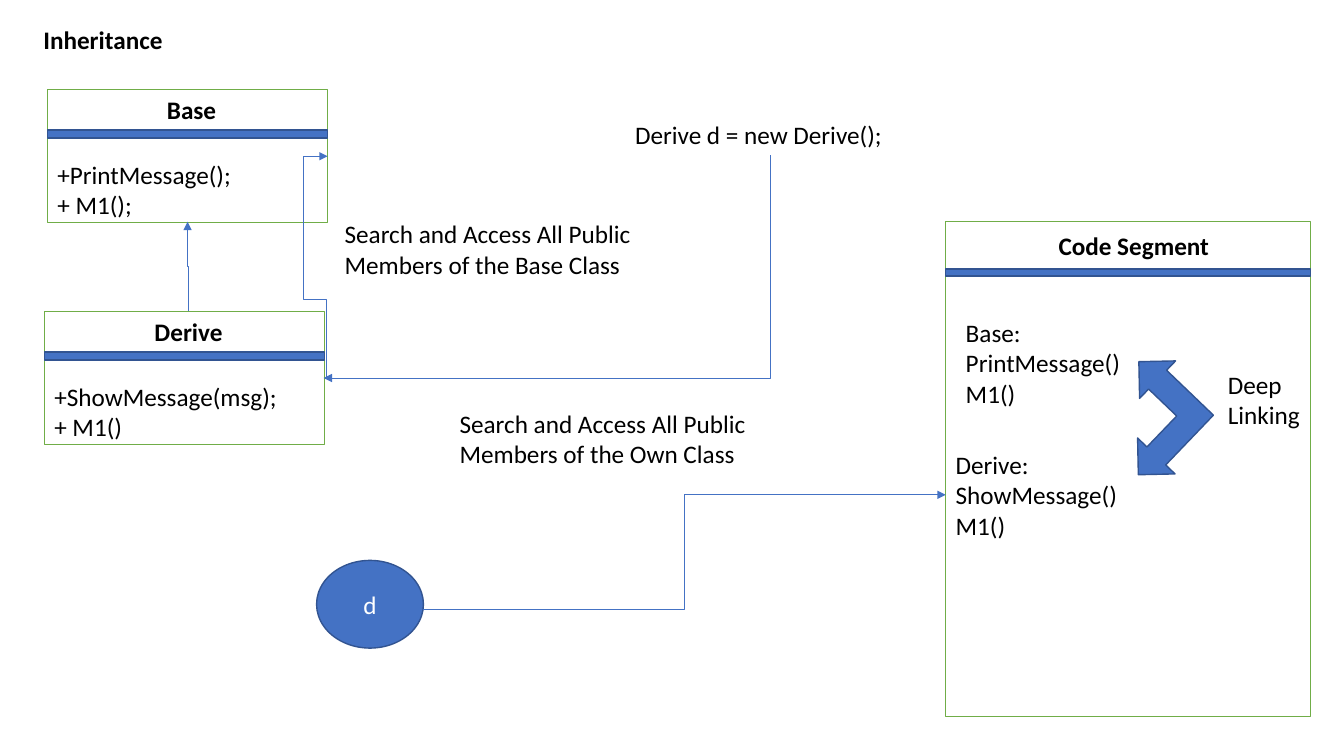
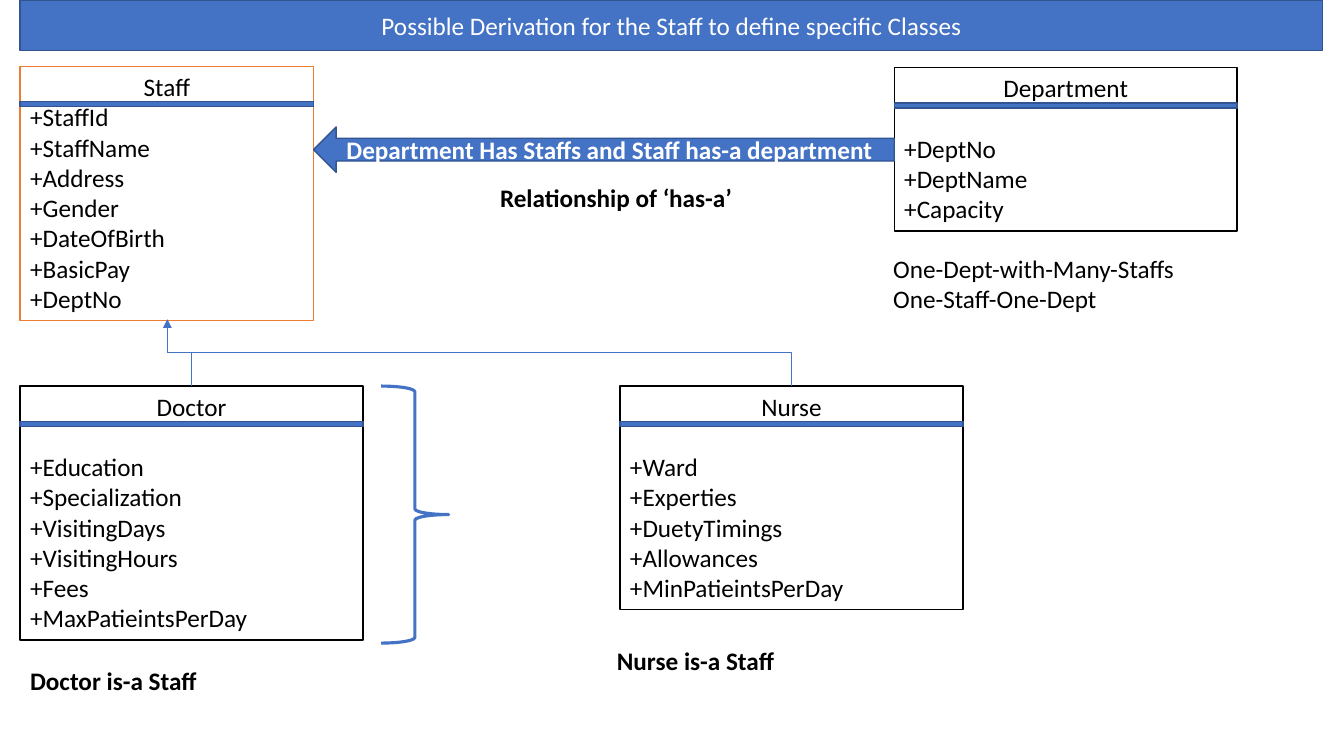
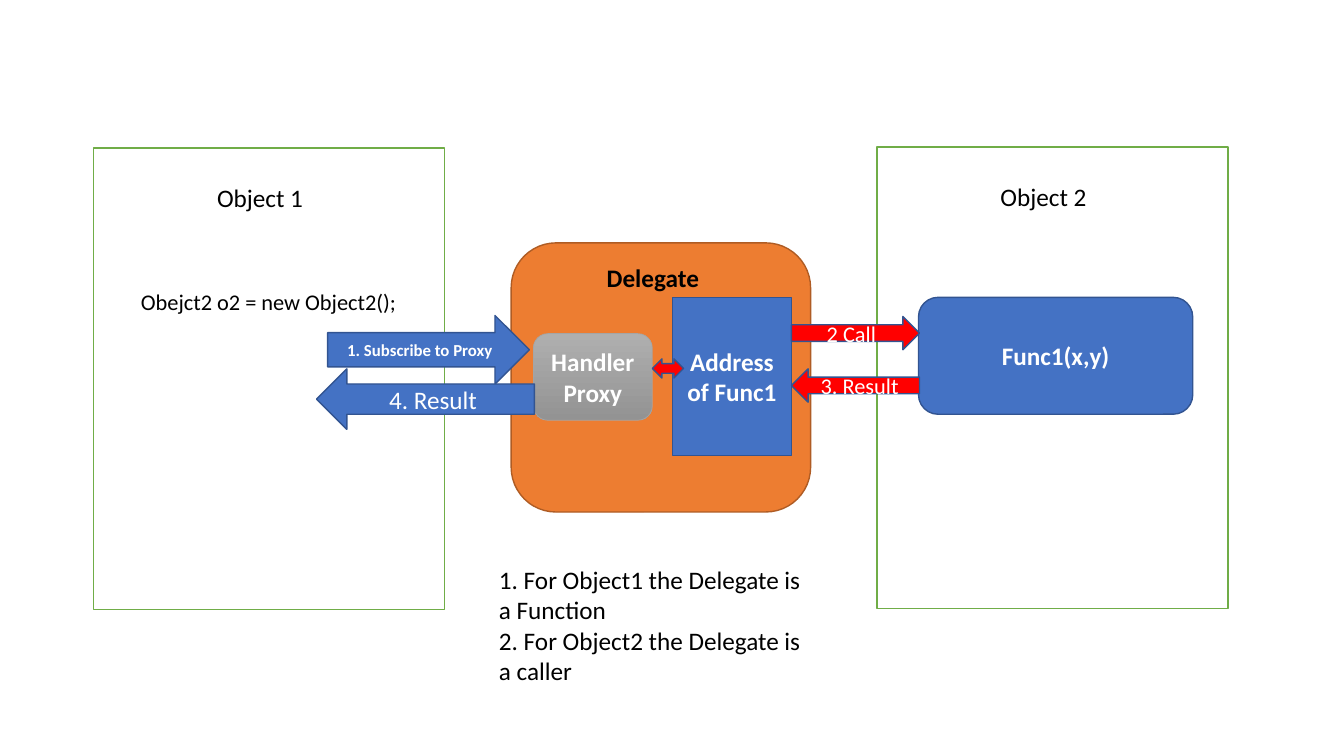
from dataclasses import dataclass
from typing import NamedTuple, Optional

from lxml.etree import SubElement
from pptx import Presentation
from pptx.dml.color import RGBColor
from pptx.enum.shapes import MSO_CONNECTOR as Link, MSO_SHAPE as Kind
from pptx.enum.text import MSO_ANCHOR as Anchor, MSO_AUTO_SIZE as Fit, PP_ALIGN as Align
from pptx.oxml.ns import qn
from pptx.shapes.autoshape import Shape
from pptx.slide import Slide
from pptx.text.text import TextFrame
from pptx.util import Inches, Pt

BLUE = RGBColor(0x44, 0x72, 0xC4)
NAVY = RGBColor(0x32, 0x54, 0x91)
GREEN = RGBColor(0x70, 0xAD, 0x47)
ORANGE = RGBColor(0xED, 0x7D, 0x31)
BROWN = RGBColor(0xAF, 0x5C, 0x24)
RED = RGBColor(0xFF, 0x00, 0x00)
GREY = RGBColor(0xA5, 0xA5, 0xA5)
PALE = RGBColor(0xAF, 0xAF, 0xAF)
DIM = RGBColor(0x93, 0x93, 0x93)
BLACK = RGBColor(0x00, 0x00, 0x00)
WHITE = RGBColor(0xFF, 0xFF, 0xFF)

FONT = "Calibri"
CELL = Inches(0.1)  # grid step: 75 rows down the slide, 133.33 columns across
TITLE, BLANK = 5, 6


class Box(NamedTuple):
    col: float
    row: float
    wide: float
    tall: float


class Spot(NamedTuple):
    col: float
    row: float


class Look(NamedTuple):
    fill: Optional[RGBColor]
    line: RGBColor
    width: float = 1


@dataclass(frozen=True)
class Type:
    ink: RGBColor = BLACK
    size: float = 18
    bold: bool = False
    align: Align = Align.LEFT
    anchor: Anchor = Anchor.TOP


@dataclass(frozen=True)
class Card:
    """A class with its name, a rule below it and its members."""
    name: str
    box: Box
    line: RGBColor
    members: str
    gap: float = 21.6


@dataclass(frozen=True)
class Arrow:
    kind: Kind
    box: Box
    look: Look
    text: str
    type: Type


SOLID = Look(BLUE, NAVY)
ALERT = Look(RED, NAVY)
FRAME = Look(WHITE, GREEN)
PLAIN = Type()
BOLD = Type(bold=True)
MID = Type(align=Align.CENTER)
HEAD = Type(bold=True, align=Align.CENTER)
LIGHT = Type(WHITE, align=Align.CENTER, anchor=Anchor.MIDDLE)
STRONG = Type(WHITE, bold=True, align=Align.CENTER, anchor=Anchor.MIDDLE)
SMALL = Type(WHITE, 16, align=Align.CENTER, anchor=Anchor.MIDDLE)
TINY = Type(WHITE, 12, True, Align.CENTER, Anchor.MIDDLE)


def scale(*cells: float) -> list[int]:
    return [round(n * CELL) for n in cells]


def write(frame: TextFrame, text: str, style: Type) -> None:
    frame.text = text
    frame.word_wrap = True
    frame.auto_size = Fit.NONE
    frame.vertical_anchor = style.anchor
    for para in frame.paragraphs:
        para.alignment = style.align
        for run in para.runs:
            font = run.font
            font.name, font.size, font.bold = FONT, Pt(style.size), style.bold
            font.color.rgb = style.ink


def paint(shape: Shape, look: Look) -> None:
    if look.fill is None:
        shape.fill.background()
    else:
        shape.fill.solid()
        shape.fill.fore_color.rgb = look.fill
    shape.line.color.rgb = look.line
    shape.line.width = Pt(look.width)


def draw(slide: Slide, kind: Kind, box: Box, look: Look,
         text: str = "", style: Type = LIGHT) -> Shape:
    shape = slide.shapes.add_shape(kind, *scale(*box))
    shape.shadow.inherit = False
    paint(shape, look)
    if text:
        write(shape.text_frame, text, style)
    return shape


def label(slide: Slide, box: Box, text: str, style: Type = PLAIN) -> None:
    write(slide.shapes.add_textbox(*scale(*box)).text_frame, text, style)


def head(slide: Slide, box: Box, text: str, style: Type) -> Shape:
    """Move and format the title placeholder."""
    title = slide.shapes.title
    title.left, title.top, title.width, title.height = scale(*box)
    write(title.text_frame, text, style)
    return title


def rule(slide: Slide, box: Box, drop: float, tall: float) -> None:
    """Draw the blue bar that lies drop rows below the top of a box."""
    draw(slide, Kind.RECTANGLE, Box(box.col, box.row + drop, box.wide, tall), SOLID)


def elbow(slide: Slide, start: Spot, end: Spot, upright: bool = True,
          form: str = "bentConnector3", bends: tuple[float, ...] = ()) -> None:
    """Draw a bent arrow; an upright one leaves its start vertically."""
    run, rise = end.col - start.col, end.row - start.row
    turn = 0
    if upright:
        turn = 270 if rise < 0 else 90
        run, rise = abs(rise), run if rise < 0 else -run
    mid = Spot((start.col + end.col) / 2, (start.row + end.row) / 2)
    line = slide.shapes.add_connector(Link.ELBOW, *scale(
        mid.col - run / 2, mid.row - rise / 2, mid.col + run / 2, mid.row + rise / 2))
    line.line.color.rgb = BLUE
    line.line.width = Pt(0.5)
    SubElement(line.get_or_add_ln(), qn("a:tailEnd"), type="triangle")
    props = line.element.spPr
    SubElement(props, qn("a:effectLst"))
    if turn:
        props.find(qn("a:xfrm")).set("rot", str(turn * 60000))
    shape = props.find(qn("a:prstGeom"))
    shape.set("prst", form)
    guides = shape.find(qn("a:avLst"))
    for i, bend in enumerate(bends, 1):
        SubElement(guides, qn("a:gd"), name=f"adj{i}", fmla=f"val {round(bend * 100000)}")


def card(slide: Slide, item: Card) -> None:
    shape = draw(slide, Kind.RECTANGLE, item.box, Look(WHITE, item.line),
                 f"{item.name}\n{item.members}", PLAIN)
    name, first = shape.text_frame.paragraphs[:2]
    name.alignment = Align.CENTER
    first.space_before = Pt(item.gap)
    rule(slide, item.box, 3.5, 0.5)


def inherit(slide: Slide) -> None:
    head(slide, Box(3.3, 1.9, 84.5, 4), "Inheritance", BOLD)
    for col, row, name, text in (
            (4.7, 8.9, "Base", "+PrintMessage();\n+ M1();"),
            (4.4, 30.9, "Derive", "+ShowMessage(msg);\n+ M1()")):
        box = Box(col, row, 27.8, 13.2)
        draw(slide, Kind.RECTANGLE, box, FRAME)
        rule(slide, box, 4, 0.8)
        label(slide, Box(col, row + 6.4, 27, 7.1), text)
        label(slide, Box(col + 4.4, row, 19.8, 4), name, HEAD)

    code = Box(93.8, 22, 36.2, 49.1)
    draw(slide, Kind.RECTANGLE, code, FRAME)
    rule(slide, code, 4.7, 0.7)
    label(slide, Box(99, 22.4, 26.9, 4), "Code Segment", HEAD)
    for box, text in (
            (Box(62, 11.3, 28.8, 4), "Derive d = new Derive();"),
            (Box(44.6, 40, 35.5, 7.1), "Search and Access All Public Members of the Own Class"),
            (Box(33.2, 21.2, 35.5, 7.1), "Search and Access All Public Members of the Base Class"),
            (Box(94.8, 31, 34.1, 10.1), "Base:\nPrintMessage()\nM1()"),
            (Box(93.8, 44.1, 34.1, 10.1), "Derive:\nShowMessage()\nM1()"),
            (Box(120.8, 36.1, 11.1, 7.1), "Deep\nLinking")):
        label(slide, box, text)
    draw(slide, Kind.OVAL, Box(31.4, 55.6, 10.6, 8.7), SOLID, "d")
    draw(slide, Kind.LEFT_UP_ARROW, Box(109.4, 36.3, 10.7, 10.3), SOLID).rotation = 313.8

    elbow(slide, Spot(18.7, 30.9), Spot(18.6, 22))
    elbow(slide, Spot(76.4, 15.4), Spot(32.1, 37.5), form="bentConnector2")
    elbow(slide, Spot(32.4, 37.4), Spot(32.5, 15.5), form="bentConnector4", bends=(0.35, -24))
    elbow(slide, Spot(42, 60.5), Spot(93.8, 49.1), upright=False)


def staff(slide: Slide) -> None:
    title = head(slide, Box(2, 0, 129.2, 5),
                 "Possible Derivation for the Staff to define specific Classes", LIGHT)
    paint(title, SOLID)
    for item in (
            Card("Staff", Box(2, 6.6, 29.1, 25.2), ORANGE,
                 "+StaffId\n+StaffName\n+Address\n+Gender\n+DateOfBirth\n+BasicPay\n+DeptNo", 0),
            Card("Doctor", Box(2, 38.3, 34, 25.2), BLACK,
                 "+Education\n+Specialization\n+VisitingDays\n+VisitingHours\n+Fees\n"
                 "+MaxPatieintsPerDay"),
            Card("Nurse", Box(61.5, 38.3, 34, 22.2), BLACK,
                 "+Ward\n+Experties\n+DuetyTimings\n+Allowances\n+MinPatieintsPerDay"),
            Card("Department", Box(88.7, 6.7, 34, 16.2), BLACK,
                 "+DeptNo\n+DeptName\n+Capacity")):
        card(slide, item)
    for col in (19, 78.5):
        elbow(slide, Spot(col, 38.3), Spot(16.6, 31.7))
    draw(slide, Kind.RIGHT_BRACE, Box(37.8, 38.3, 6.7, 25.5), Look(None, BLUE, 2.25))
    draw(slide, Kind.LEFT_ARROW, Box(31.1, 12.6, 57.6, 4.5), SOLID,
         "Department Has Staffs and Staff has-a department", STRONG)
    label(slide, Box(2, 65.5, 35.7, 4), "Doctor is-a Staff", BOLD)
    label(slide, Box(60.2, 63.5, 36.9, 4), "Nurse is-a Staff", BOLD)
    label(slide, Box(44.5, 17.6, 33.2, 4), "Relationship of ‘has-a’", HEAD)
    label(slide, Box(87.6, 24.6, 38.1, 7.1), "One-Dept-with-Many-Staffs\nOne-Staff-One-Dept")


def proxy(slide: Slide) -> None:
    for col, row, name in ((9.3, 14.7, "Object 1"), (87, 14.6, "Object 2")):
        draw(slide, Kind.RECTANGLE, Box(col, row, 34.8, 45.8), FRAME)
        label(slide, Box(col + 0.7, row + 2.85, 31.6, 4), name, MID)
    draw(slide, Kind.ROUNDED_RECTANGLE, Box(91.1, 29.5, 27.2, 11.6), SOLID,
         "Func1(x,y)", STRONG)
    label(slide, Box(13, 28.1, 28.7, 4), "Obejct2 o2 = new Object2();", Type(size=16))
    draw(slide, Kind.ROUNDED_RECTANGLE, Box(50.7, 24.1, 29.7, 26.7), Look(ORANGE, BROWN))
    label(slide, Box(54.4, 25.5, 20.7, 4), "Delegate", HEAD)
    draw(slide, Kind.RECTANGLE, Box(66.7, 29.5, 11.8, 15.7), SOLID,
         "Address of Func1", STRONG)
    handler = draw(slide, Kind.ROUNDED_RECTANGLE, Box(52.9, 33.1, 11.8, 8.6),
                   Look(GREY, GREY, 0.5), "Handler\nProxy", STRONG)
    handler.fill.gradient()
    handler.fill.gradient_angle = 270
    for stop, shade in zip(handler.fill.gradient_stops, (PALE, DIM)):
        stop.color.rgb = shade
    for item in (
            Arrow(Kind.RIGHT_ARROW, Box(78.5, 31.4, 12.7, 3.3), ALERT, "2 Call", SMALL),
            Arrow(Kind.LEFT_ARROW, Box(78.5, 36.6, 12.7, 3.3), ALERT, "3. Result", SMALL),
            Arrow(Kind.LEFT_RIGHT_ARROW, Box(64.7, 35.6, 3.1, 1.9), ALERT, "", SMALL),
            Arrow(Kind.RIGHT_ARROW, Box(32.5, 31.3, 20, 6.8), SOLID,
                  "1. Subscribe to Proxy", TINY),
            Arrow(Kind.LEFT_ARROW, Box(31.4, 36.6, 21.6, 6), SOLID, "4. Result", LIGHT)):
        draw(slide, item.kind, item.box, item.look, item.text, item.type)
    label(slide, Box(48.5, 55.5, 32.8, 13.1),
          "1. For Object1 the Delegate is a Function\n2. For Object2 the Delegate is a caller")


def main() -> None:
    deck = Presentation()
    deck.slide_width, deck.slide_height = Inches(13.33), Inches(7.5)
    for build, layout in ((inherit, TITLE), (staff, TITLE), (proxy, BLANK)):
        build(deck.slides.add_slide(deck.slide_layouts[layout]))
    deck.save("out.pptx")


if __name__ == "__main__":
    main()
